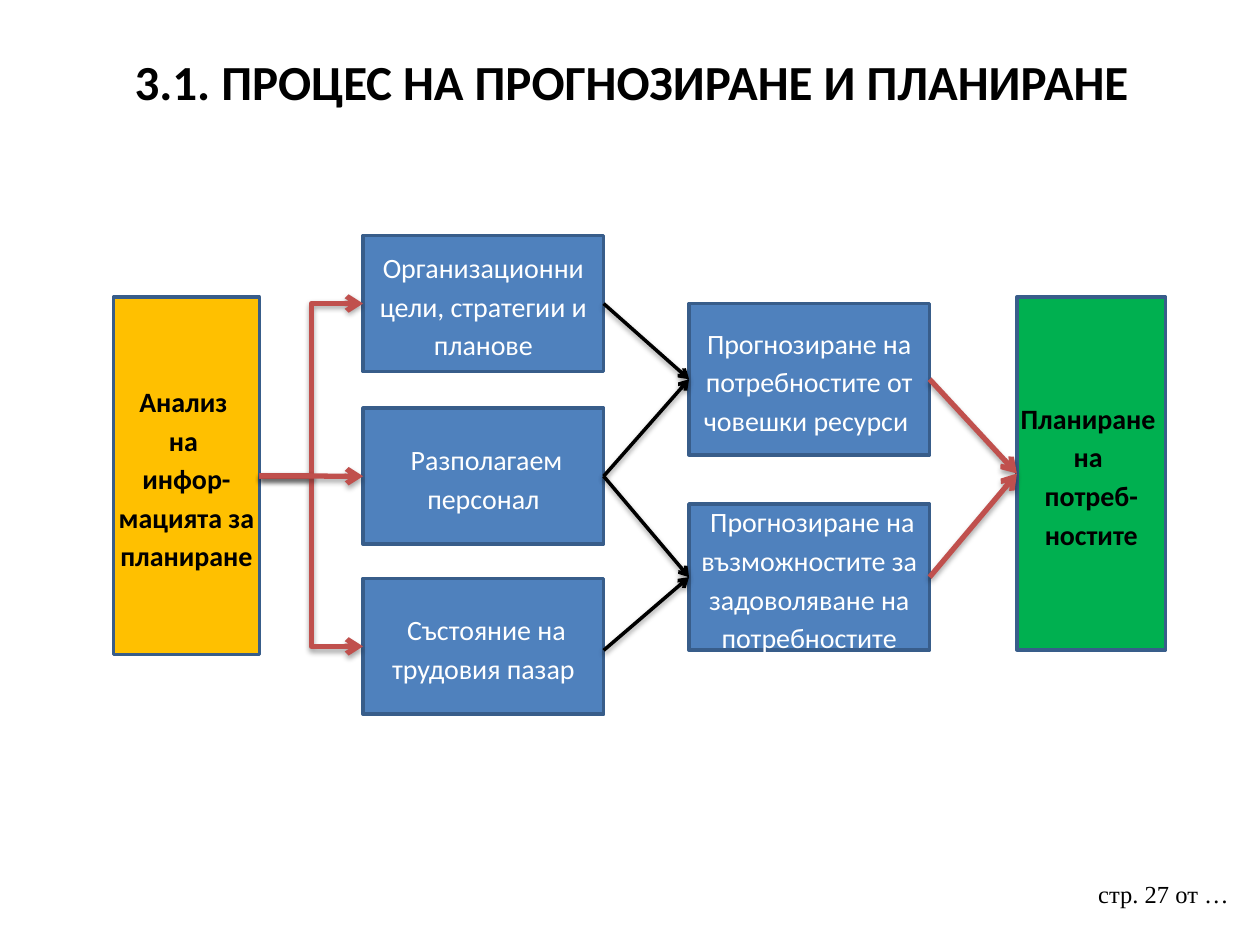
import pptx
import pptx.util
import pptx.dml.color
import pptx.enum.shapes
import pptx.enum.text
import pptx.oxml

Cm = pptx.util.Cm
Pt = pptx.util.Pt
RGB = pptx.dml.color.RGBColor.from_string
ALIGN = pptx.enum.text.PP_ALIGN
ANCHOR = pptx.enum.text.MSO_ANCHOR
CONNECTOR = pptx.enum.shapes.MSO_CONNECTOR
NS = 'xmlns:a="http://schemas.openxmlformats.org/drawingml/2006/main"'


class Theme:
    black = "000000"
    white = "FFFFFF"
    blue = "4F81BD"
    border = "385D8A"
    amber = "FFC000"
    green = "00B050"
    red = "C0504D"
    font = "Calibri"
    serif = "Times New Roman"
    title_size = 28
    box_size = 16
    footer_size = 14


def add_run(p, text, size, color, bold=False, font=Theme.font):
    r = p.add_run()
    r.text = text
    r.font.name = font
    r.font.size = Pt(size)
    r.font.bold = bold
    r.font.color.rgb = RGB(color)


prs = pptx.Presentation()
prs.slide_width = Cm(25.4)
prs.slide_height = Cm(19.05)
s = prs.slides.add_slide(prs.slide_layouts[6])

labels = [
    ("стр. 27 от …", (21.89, 17.6, 3.3, 1.32), Theme.footer_size, False, Theme.serif, ALIGN.LEFT),
    ("3.1. ПРОЦЕС НА ПРОГНОЗИРАНЕ И ПЛАНИРАНЕ", (1.3, 0.91, 22.86, 3.18),
     Theme.title_size, True, Theme.font, ALIGN.CENTER),
]
for text, frame, size, bold, font, align in labels:
    tf = s.shapes.add_textbox(*map(Cm, frame)).text_frame
    tf.word_wrap = True
    p = tf.paragraphs[0]
    p.alignment = align
    add_run(p, text, size, Theme.black, bold, font)

goal_x, forecast_x, step_w, goal_h = 7.32, 13.89, 4.85, 2.74
boxes = {
    "analysis": ((2.29, 5.99, 2.94, 7.21), Theme.amber,
                 ["Анализ ", "на ", "инфор-мацията за планиране"]),
    "goals": ((goal_x, 4.75, step_w, goal_h), Theme.blue,
              ["Организационни цели, стратегии и планове"]),
    "staff": ((goal_x, 8.23, step_w, goal_h), Theme.blue, [" Разполагаем персонал"]),
    "market": ((goal_x, 11.66, step_w, goal_h), Theme.blue, [" Състояние на трудовия пазар"]),
    "needs": ((forecast_x, 6.12, step_w, 3.05), Theme.blue,
              ["Прогнозиране на потребностите от човешки ресурси "]),
    "supply": ((forecast_x, 10.16, step_w, 2.95), Theme.blue,
               [" Прогнозиране на възможностите за задоволяване на потребностите"]),
    "planning": ((20.5, 5.99, 3, 7.11), Theme.green, ["Планиране ", "на ", "потреб-ностите"]),
}
shapes = {}
for name, (frame, fill, lines) in boxes.items():
    sp = s.shapes.add_shape(pptx.enum.shapes.MSO_SHAPE.RECTANGLE, *map(Cm, frame))
    shapes[name] = sp
    sp.shadow.inherit = False
    sp.fill.solid()
    sp.fill.fore_color.rgb = RGB(fill)
    sp.line.color.rgb = RGB(Theme.border)
    sp.line.width = Pt(2)
    step = fill == Theme.blue
    tf = sp.text_frame
    tf.word_wrap = True
    tf.vertical_anchor = ANCHOR.MIDDLE
    if not step:
        tf.margin_left = tf.margin_right = tf.margin_top = tf.margin_bottom = 0
    for i, line in enumerate(lines):
        p = tf.add_paragraph() if i else tf.paragraphs[0]
        p.alignment = ALIGN.CENTER
        p.line_spacing = 1.15
        p.space_after = Pt(10 if step else 0)
        add_run(p, line, Theme.box_size, Theme.white if step else Theme.black, not step)

thin = (Theme.black, 2, 38000, 20000)
thick = (Theme.red, 3, 35000, 23000)
links = [
    ("market", "supply", CONNECTOR.STRAIGHT, thin, 0.08),
    ("staff", "supply", CONNECTOR.STRAIGHT, thin, 0),
    ("goals", "needs", CONNECTOR.STRAIGHT, thin, 0),
    ("staff", "needs", CONNECTOR.STRAIGHT, thin, 0),
    ("needs", "planning", CONNECTOR.STRAIGHT, thick, 0),
    ("supply", "planning", CONNECTOR.STRAIGHT, thick, 0),
    ("analysis", "goals", CONNECTOR.ELBOW, thick, 0),
    ("analysis", "market", CONNECTOR.ELBOW, thick, 0),
    ("analysis", "staff", CONNECTOR.STRAIGHT, thick, 0),
]
for start, end, kind, (color, width, alpha, distance), drop in links:
    a, b = shapes[start], shapes[end]
    cx = s.shapes.add_connector(kind, a.left + a.width, a.top + a.height // 2 + Cm(drop),
                                b.left, b.top + b.height // 2)
    if not drop:
        cx.begin_connect(a, 3)
    cx.end_connect(b, 1)
    cx.line.color.rgb = RGB(color)
    cx.line.width = Pt(width)
    cx.line._get_or_add_ln().append(pptx.oxml.parse_xml(f'<a:tailEnd {NS} type="arrow"/>'))
    cx._element.spPr.append(pptx.oxml.parse_xml(
        f'<a:effectLst {NS}><a:outerShdw blurRad="40000" dist="{distance}" dir="5400000" rotWithShape="0">'
        f'<a:srgbClr val="{Theme.black}"><a:alpha val="{alpha}"/></a:srgbClr></a:outerShdw></a:effectLst>'))

prs.save("out.pptx")
